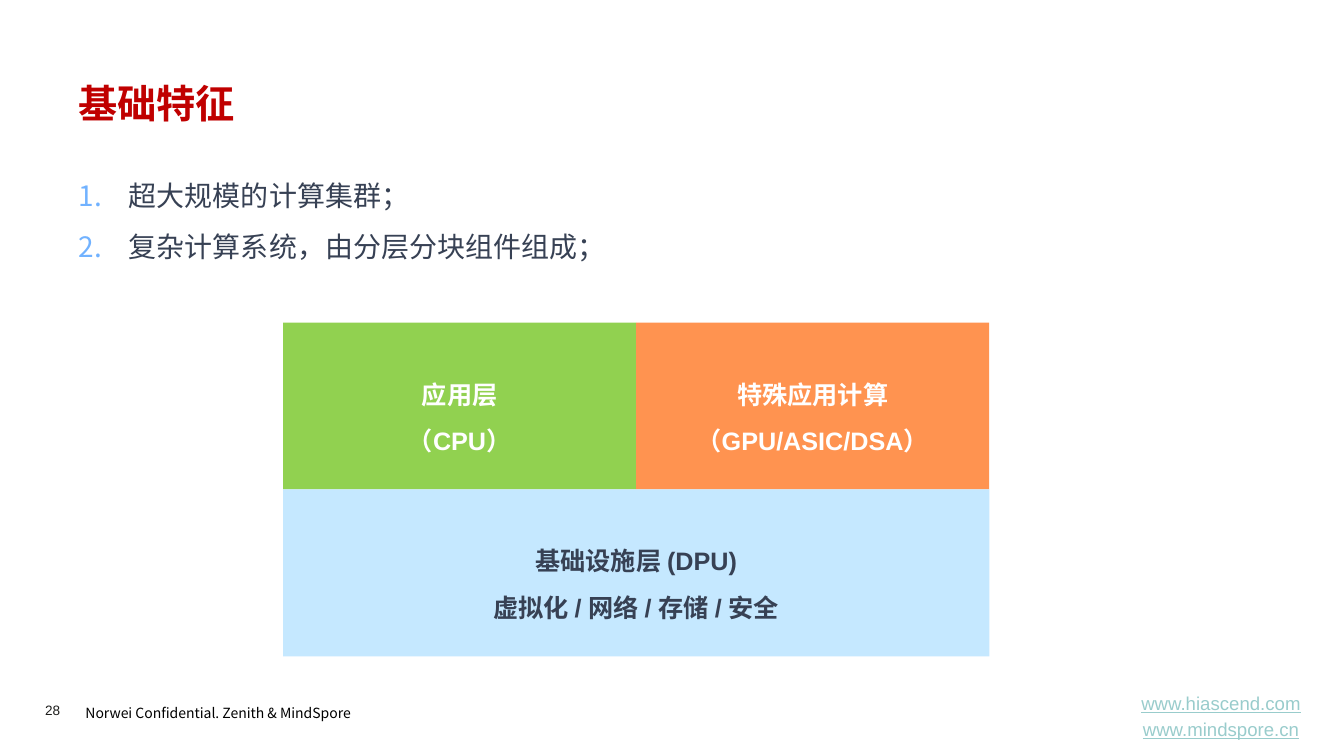
from lxml import etree
from pptx import Presentation
from pptx.dml.color import RGBColor
from pptx.enum.shapes import MSO_SHAPE
from pptx.enum.text import MSO_ANCHOR, PP_ALIGN
from pptx.oxml.ns import qn
from pptx.util import Pt

RECTANGLE = MSO_SHAPE.RECTANGLE
TOP, MIDDLE = MSO_ANCHOR.TOP, MSO_ANCHOR.MIDDLE
LEFT, CENTER = PP_ALIGN.LEFT, PP_ALIGN.CENTER
SANS, CJK, TITLE_FONT = "Arial", "Noto Sans CJK SC", "TeX Gyre Adventor"
COLORS = {
    "title": "C00000", "text": "374154", "number": "71B2FF", "white": "FFFFFF",
    "application": "91D150", "special": "FF9350", "infrastructure": "C5E8FF",
    "footer": "000000", "page": "1D1D1B", "link": "99CCCC",
}


def rgb(name):
    """Return the named colour."""
    return RGBColor.from_string(COLORS[name])


def write_lines(shape, lines, color, font, anchor=TOP, align=LEFT, spacing=None, gap=0):
    """Write one formatted paragraph per line and return the paragraphs."""
    frame = shape.text_frame
    frame.word_wrap = True
    frame.vertical_anchor = anchor
    for index, line in enumerate(lines):
        paragraph = frame.add_paragraph() if index else frame.paragraphs[0]
        layout = {"alignment": align, "line_spacing": spacing,
                  "space_before": Pt(gap if index else 0)}
        for key, value in layout.items():
            setattr(paragraph, key, value)
        run = paragraph.add_run()
        run.text = line
        for key, value in font.items():
            setattr(run.font, key, value)
        run.font.color.rgb = rgb(color)
        east_asian = etree.SubElement(run.font._element, qn("a:ea"))
        east_asian.set("typeface", CJK)
    return frame.paragraphs


def add_text(slide, box, lines, color, font, **layout):
    """Add a text box and return its paragraphs."""
    shape = slide.shapes.add_textbox(*map(Pt, box))
    return write_lines(shape, lines, color, font, **layout)


def number_paragraph(paragraph, indent):
    """Give a paragraph a coloured automatic number."""
    properties = paragraph._p.get_or_add_pPr()
    properties.set("marL", str(Pt(indent)))
    properties.set("indent", str(-Pt(indent)))
    bullet_color = etree.SubElement(properties, qn("a:buClr"))
    etree.SubElement(bullet_color, qn("a:srgbClr")).set("val", COLORS["number"])
    etree.SubElement(properties, qn("a:buAutoNum")).set("type", "arabicPeriod")


def add_heading(slide, box):
    """Add the title and the numbered features below it."""
    left, top, width, height = box
    add_text(slide, (left, top, width, 46), ["基础特征"], "title",
             {"name": TITLE_FONT, "size": Pt(28), "bold": True})
    features = ["超大规模的计算集群；", "复杂计算系统，由分层分块组件组成；"]
    for paragraph in add_text(slide, (left, top + 59, width, height - 59), features,
                              "text", {"name": CJK, "size": Pt(20)}, spacing=Pt(36)):
        number_paragraph(paragraph, 36)


def add_layers(slide, box):
    """Stack two application blocks on the infrastructure block."""
    left, top, width, height = box
    half, row = width / 2, height / 2
    blocks = [
        (0, 0, half, "application", "white", ["应用层", "（CPU）"]),
        (half, 0, half, "special", "white", ["特殊应用计算", "（GPU/ASIC/DSA）"]),
        (0, row, width, "infrastructure", "text",
         ["基础设施层 (DPU)", "虚拟化 / 网络 / 存储 / 安全"]),
    ]
    for x, y, block_width, fill, color, lines in blocks:
        shape = slide.shapes.add_shape(
            RECTANGLE, Pt(left + x), Pt(top + y), Pt(block_width), Pt(row))
        shape.shadow.inherit = False
        shape.fill.solid()
        shape.fill.fore_color.rgb = rgb(fill)
        shape.line.fill.background()
        shape.text_frame.margin_top = Pt(8)
        write_lines(shape, lines, color, {"name": SANS, "size": Pt(18), "bold": True},
                    anchor=MIDDLE, align=CENTER, spacing=Pt(33))


def add_footer(slide, box):
    """Add the page number, the notice and the web addresses."""
    left, top, width, height = box
    add_text(slide, (left - 7.2, top + 2, 40, 20), ["28"], "page",
             {"name": SANS, "size": Pt(9.7)})
    add_text(slide, (left + 21.6, top + 1.5, 225, 21),
             ["Norwei Confidential. Zenith & MindSpore"], "footer",
             {"name": CJK, "size": Pt(10)}, spacing=1.2)
    add_text(slide, (left + width - 155.5, top, 155.5, height),
             ["www.hiascend.com", "www.mindspore.cn"], "link",
             {"name": SANS, "size": Pt(13.3), "underline": True},
             anchor=MIDDLE, align=CENTER, gap=3)


def main():
    """Build and save the slide."""
    presentation = Presentation()
    presentation.slide_width, presentation.slide_height = Pt(960.5), Pt(540)
    slide = presentation.slides.add_slide(presentation.slide_layouts[6])
    add_heading(slide, (49, 53.3, 863, 138))
    add_layers(slide, (202.3, 230.4, 504.7, 238.4))
    add_footer(slide, (32.4, 496, 918, 31))
    presentation.save("out.pptx")


if __name__ == "__main__":
    main()
